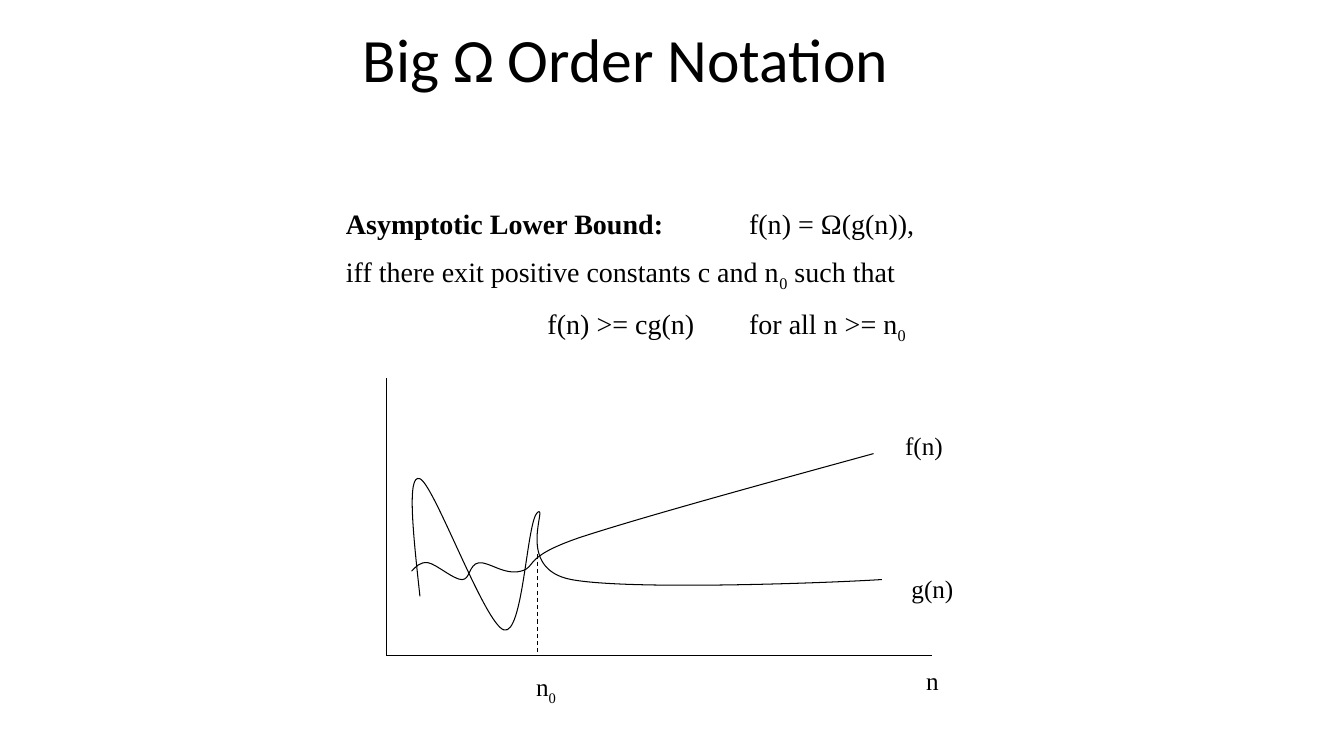
from lxml import etree
from pptx import Presentation
from pptx.dml.color import RGBColor
from pptx.enum.dml import MSO_LINE
from pptx.enum.text import MSO_ANCHOR, PP_ALIGN
from pptx.oxml.ns import qn
from pptx.util import Inches, Pt

DASH = MSO_LINE.DASH
MIDDLE, TOP = MSO_ANCHOR.MIDDLE, MSO_ANCHOR.TOP
CENTER, LEFT = PP_ALIGN.CENTER, PP_ALIGN.LEFT
UNIT = Inches(1) // 12
COLS, ROWS = 160, 90
TAB_STOPS = (12, 24, 36, 48)
INK = "000000"
SANS, SERIF = "Calibri", "Times New Roman"

F_CURVE = [
    (3, 23),
    (3.5, 22.5), (4, 21.84), (5, 22),
    (6, 22.2), (8, 24), (9, 24),
    (10, 24), (9.8, 22.2), (11, 22),
    (12.2, 21.84), (14, 23.5), (16, 23),
    (18, 22.5), (16, 21.4), (23, 19),
    (30, 16.7), (44, 12.84), (58, 9),
]
G_CURVE = [
    (4, 26),
    (3.2, 18.7), (2.4, 11.3), (4, 12),
    (5.7, 12.7), (11.7, 29.3), (14, 30),
    (16.3, 30.7), (16.7, 17), (18, 16),
    (19.3, 15), (15.2, 22.7), (22, 24),
    (28.9, 25.3), (52.9, 24.4), (59, 24),
]
AXES = [((0, 0), (0, 33), None), ((0, 33), (65, 33), None), ((18, 21), (18, 33), DASH)]
LABELS = [
    ((61, 32, 8, 8), [("n", "")]),
    ((15, 33, 8, 8), [("n", ""), ("0", "sub")]),
    ((59, 3, 10, 10), [("f(n)", "")]),
    ((60, 20, 10, 10), [("g(n)", "")]),
]
DEFINITION = [
    [("Asymptotic Lower Bound:	", "bold"), ("f(n) = Ω(g(n)),", "")],
    [("iff there exit positive constants c and n", ""), ("0", "sub"), (" such that", "")],
    [("		f(n) >= cg(n)	for all n >= n", ""), ("0", "sub")],
]


def color(value):
    return RGBColor.from_string(value)


def grid(*values):
    return [round(v * UNIT) for v in values]


def add_text(s, box, paragraphs, size, font, anchor=TOP, align=LEFT, before=0, spacing=1.0, wrap=True):
    tf = s.shapes.add_textbox(*grid(*box)).text_frame
    tf.word_wrap = wrap
    tf.vertical_anchor = anchor
    for i, runs in enumerate(paragraphs):
        p = tf.paragraphs[0] if i == 0 else tf.add_paragraph()
        p.alignment = align
        p.line_spacing = spacing
        p.space_before = Pt(before)
        for text, style in runs:
            r = p.add_run()
            r.text = text
            r.font.size = Pt(size)
            r.font.name = font
            r.font.bold = style == "bold"
            r.font.color.rgb = color(INK)
            if style == "sub":
                r.font._element.set("baseline", "-25000")
    return tf


def add_tab_stops(p, stops):
    tabs = etree.SubElement(p._p.get_or_add_pPr(), qn("a:tabLst"))
    for stop in grid(*stops):
        etree.SubElement(tabs, qn("a:tab"), pos=str(stop), algn="l")


def style_line(shape, dash=None):
    shape.line.color.rgb = color(INK)
    shape.line.width = Pt(0.75)
    if dash:
        shape.line.dash_style = dash


def add_line(s, start, end, dash):
    line = s.shapes.add_connector(1, *grid(*start, *end))
    style_line(line, dash)
    etree.SubElement(line._element.spPr, qn("a:effectLst"))


def add_curve(s, points):
    start, *rest = [grid(*point) for point in points]
    builder = s.shapes.build_freeform(*start)
    builder.add_line_segments(rest, close=False)
    curve = builder.convert_to_shape()
    curve.shadow.inherit = False
    curve.fill.background()
    style_line(curve)
    path = next(curve._element.iter(qn("a:path")))
    segments = path.findall(qn("a:lnTo"))
    for i in range(0, len(segments), 3):
        bezier = etree.SubElement(path, qn("a:cubicBezTo"))
        for segment in segments[i:i + 3]:
            bezier.append(segment[0])
            path.remove(segment)


def add_title(s, box):
    add_text(s, box, [[("Big Ω Order Notation", "")]], 44, SANS, MIDDLE, spacing=0.9)


def add_definition(s, box):
    tf = add_text(s, box, DEFINITION, 20, SERIF, before=10)
    for p in tf.paragraphs:
        add_tab_stops(p, TAB_STOPS)


def add_graph(s, left, top):
    for (x1, y1), (x2, y2), dash in AXES:
        add_line(s, (left + x1, top + y1), (left + x2, top + y2), dash)
    for points in (F_CURVE, G_CURVE):
        add_curve(s, [(left + x, top + y) for x, y in points])
    for (x, y, w, h), runs in LABELS:
        add_text(s, (left + x, top + y, w, h), [runs], 18, SERIF, MIDDLE, CENTER, wrap=False)


def main():
    prs = Presentation()
    prs.slide_width, prs.slide_height = grid(COLS, ROWS)
    s = prs.slides.add_slide(prs.slide_layouts[6])
    add_title(s, (42, 0, 102, 15))
    add_definition(s, (40, 24, 120, 17))
    add_graph(s, 46, 45)
    prs.save("out.pptx")


if __name__ == "__main__":
    main()
